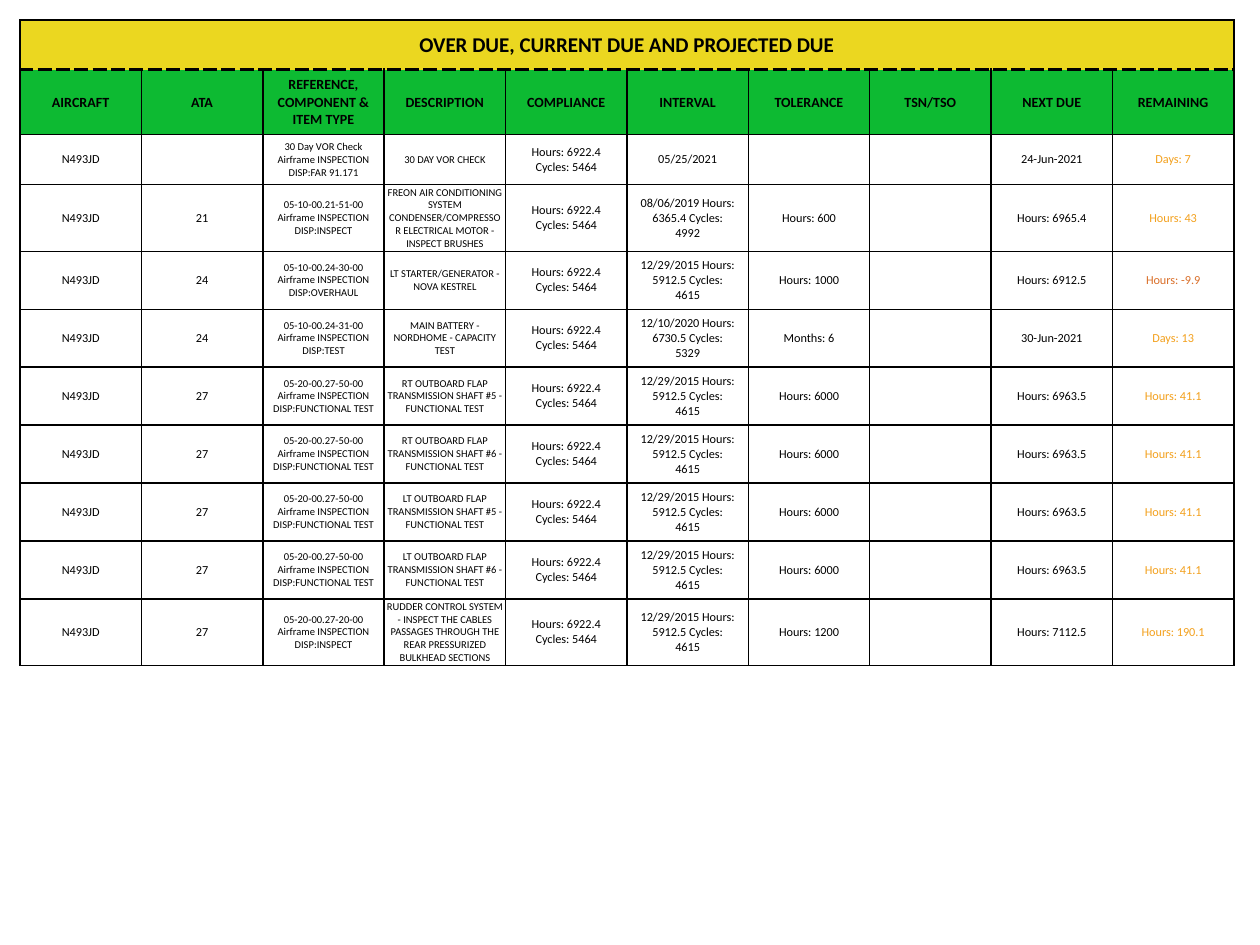
from dataclasses import dataclass

from lxml.etree import SubElement
from pptx import Presentation
from pptx.dml.color import RGBColor
from pptx.enum.text import MSO_ANCHOR, PP_ALIGN
from pptx.oxml.ns import qn
from pptx.table import _Cell as Cell
from pptx.util import Pt

PX = 914400 / 126
FONT = "Calibri"
BLACK = RGBColor(0x00, 0x00, 0x00)
YELLOW = RGBColor(0xEA, 0xD4, 0x0E)
GREEN = RGBColor(0x0D, 0xBA, 0x32)
AMBER = RGBColor(0xF3, 0x9C, 0x12)
RUST = RGBColor(0xD3, 0x54, 0x00)

EDGE = 20
TABLE_WIDTH, ROW_HEIGHT = 1214, 50
ROOMY, TIGHT = Pt(3.75), Pt(0.75)

TITLE = "OVER DUE, CURRENT DUE AND PROJECTED DUE"
HEADINGS = ("AIRCRAFT", "ATA", "REFERENCE, COMPONENT & ITEM TYPE", "DESCRIPTION", "COMPLIANCE",
            "INTERVAL", "TOLERANCE", "TSN/TSO", "NEXT DUE", "REMAINING")
AIRCRAFT = "N493JD"
COMPLIANCE = "Hours: 6922.4 Cycles: 5464"
FIRST_INTERVAL = "12/29/2015 Hours: 5912.5 Cycles: 4615"


@dataclass(frozen=True)
class DueItem:
    ata: str
    reference: str
    disposition: str
    description: str
    interval: str
    tolerance: str
    next_due: str
    remaining: str
    overdue: bool = False

    def columns(self) -> tuple[str, ...]:
        item_type = f"{self.reference} Airframe INSPECTION DISP:{self.disposition}"
        return (AIRCRAFT, self.ata, item_type, self.description, COMPLIANCE, self.interval,
                self.tolerance, "", self.next_due, self.remaining)


def flap_check(side: str, shaft: int) -> DueItem:
    return DueItem("27", "05-20-00.27-50-00", "FUNCTIONAL TEST",
                   f"{side} OUTBOARD FLAP TRANSMISSION SHAFT #{shaft} - FUNCTIONAL TEST",
                   FIRST_INTERVAL, "Hours: 6000", "Hours: 6963.5", "Hours: 41.1")


DUE_ITEMS = (
    DueItem("", "30 Day VOR Check", "FAR 91.171", "30 DAY VOR CHECK",
            "05/25/2021", "", "24-Jun-2021", "Days: 7"),
    DueItem("21", "05-10-00.21-51-00", "INSPECT",
            "FREON AIR CONDITIONING SYSTEM CONDENSER/COMPRESSOR ELECTRICAL MOTOR - INSPECT BRUSHES",
            "08/06/2019 Hours: 6365.4 Cycles: 4992", "Hours: 600", "Hours: 6965.4", "Hours: 43"),
    DueItem("24", "05-10-00.24-30-00", "OVERHAUL", "LT STARTER/GENERATOR - NOVA KESTREL",
            FIRST_INTERVAL, "Hours: 1000", "Hours: 6912.5", "Hours: -9.9", overdue=True),
    DueItem("24", "05-10-00.24-31-00", "TEST", "MAIN BATTERY - NORDHOME - CAPACITY TEST",
            "12/10/2020 Hours: 6730.5 Cycles: 5329", "Months: 6", "30-Jun-2021", "Days: 13"),
    *(flap_check(side, shaft) for side in ("RT", "LT") for shaft in (5, 6)),
    DueItem("27", "05-20-00.27-20-00", "INSPECT",
            "RUDDER CONTROL SYSTEM - INSPECT THE CABLES PASSAGES THROUGH THE REAR PRESSURIZED "
            "BULKHEAD SECTIONS",
            FIRST_INTERVAL, "Hours: 1200", "Hours: 7112.5", "Hours: 190.1"),
)


def px(length: int) -> int:
    return round(length * PX)


def set_opacity(solid_fill_parent, percent: int) -> None:
    color = solid_fill_parent.find(f"{qn('a:solidFill')}/{qn('a:srgbClr')}")
    SubElement(color, qn("a:alpha"), val=str(percent * 1000))


def draw_borders(cell: Cell, **dashed: int) -> None:
    """Rule all four sides in black; dashed maps a side (T, B) to its width in points."""
    properties = cell._tc.get_or_add_tcPr()
    for side in "LRTB":
        line = SubElement(properties, qn(f"a:ln{side}"), w=str(Pt(dashed.get(side, 1))))
        SubElement(SubElement(line, qn("a:solidFill")), qn("a:srgbClr"), val=str(BLACK))
        SubElement(line, qn("a:prstDash"), val="dash" if side in dashed else "solid")


def set_margins(cell: Cell, across: int, down: int) -> None:
    cell.margin_left = cell.margin_right = across
    cell.margin_top = cell.margin_bottom = down


def write(cell: Cell, text: str, *, size: int, bold: bool = False, color: RGBColor = BLACK,
          opacity: int = 100, indent: int = 0) -> None:
    """Centre text in the cell, indented equally from both sides."""
    cell.vertical_anchor = MSO_ANCHOR.MIDDLE
    paragraph = cell.text_frame.paragraphs[0]
    paragraph.alignment = PP_ALIGN.CENTER
    layout = paragraph._p.get_or_add_pPr()
    for side in ("marL", "marR"):
        layout.set(side, str(indent))
    layout.set("indent", "0")
    run = paragraph.add_run()
    run.text = text
    font = run.font
    font.name, font.size, font.bold = FONT, Pt(size), bold
    font.color.rgb = color
    if opacity < 100:
        set_opacity(run._r.rPr, opacity)


def fill_title(cells: list[Cell]) -> None:
    for cell in cells:
        draw_borders(cell, B=1)
    banner = cells[0]
    banner.merge(cells[-1])
    banner.fill.solid()
    banner.fill.fore_color.rgb = YELLOW
    set_opacity(banner._tc.tcPr, 92)
    set_margins(banner, 0, px(10))
    write(banner, TITLE, size=12, bold=True)


def fill_headings(cells: list[Cell]) -> None:
    for cell, heading in zip(cells, HEADINGS):
        draw_borders(cell, T=2)
        cell.fill.solid()
        cell.fill.fore_color.rgb = GREEN
        set_margins(cell, ROOMY, ROOMY)
        write(cell, heading, size=8, bold=True, indent=ROOMY)


def fill_item(cells: list[Cell], item: DueItem) -> None:
    for cell, heading, text in zip(cells, HEADINGS, item.columns()):
        draw_borders(cell)
        cell.fill.background()
        wordy = heading in ("REFERENCE, COMPONENT & ITEM TYPE", "DESCRIPTION")
        margin = TIGHT if wordy or not text else ROOMY
        set_margins(cell, margin, margin)
        color, opacity = BLACK, 100
        if heading == "REMAINING":
            color, opacity = (RUST, 83) if item.overdue else (AMBER, 95)
        if text:
            write(cell, text, size=6 if wordy else 7, color=color, opacity=opacity, indent=margin)


def main() -> None:
    presentation = Presentation()
    presentation.slide_width, presentation.slide_height = px(1260), px(945)
    slide = presentation.slides.add_slide(presentation.slide_layouts[6])

    row_count = len(DUE_ITEMS) + 2
    schedule = slide.shapes.add_table(row_count, len(HEADINGS), px(EDGE), px(EDGE),
                                      px(TABLE_WIDTH), px(ROW_HEIGHT * row_count)).table
    schedule.first_row = schedule.horz_banding = False

    title_row, heading_row, *item_rows = [list(row.cells) for row in schedule.rows]
    fill_title(title_row)
    fill_headings(heading_row)
    for cells, item in zip(item_rows, DUE_ITEMS):
        fill_item(cells, item)

    presentation.save("out.pptx")


if __name__ == "__main__":
    main()
